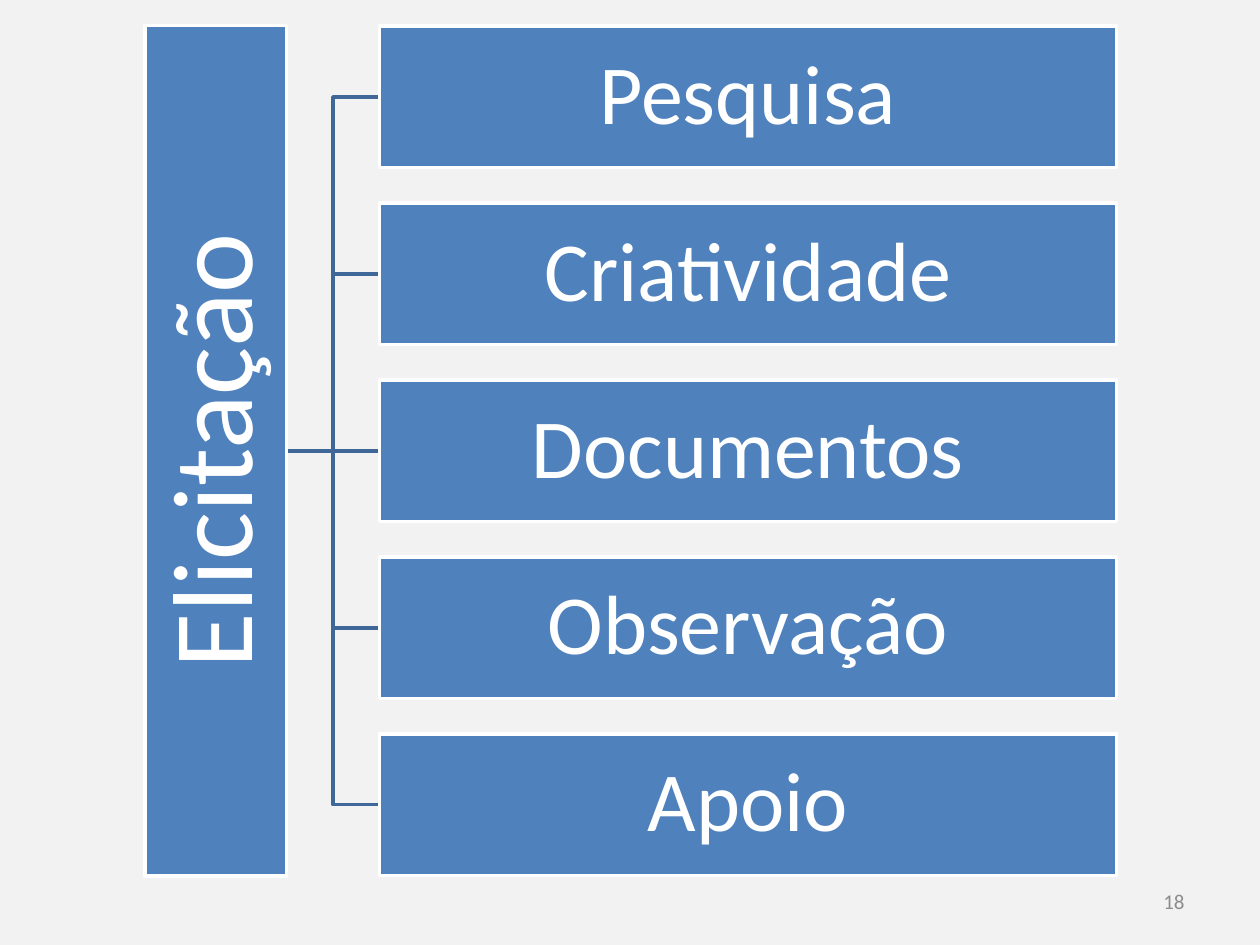
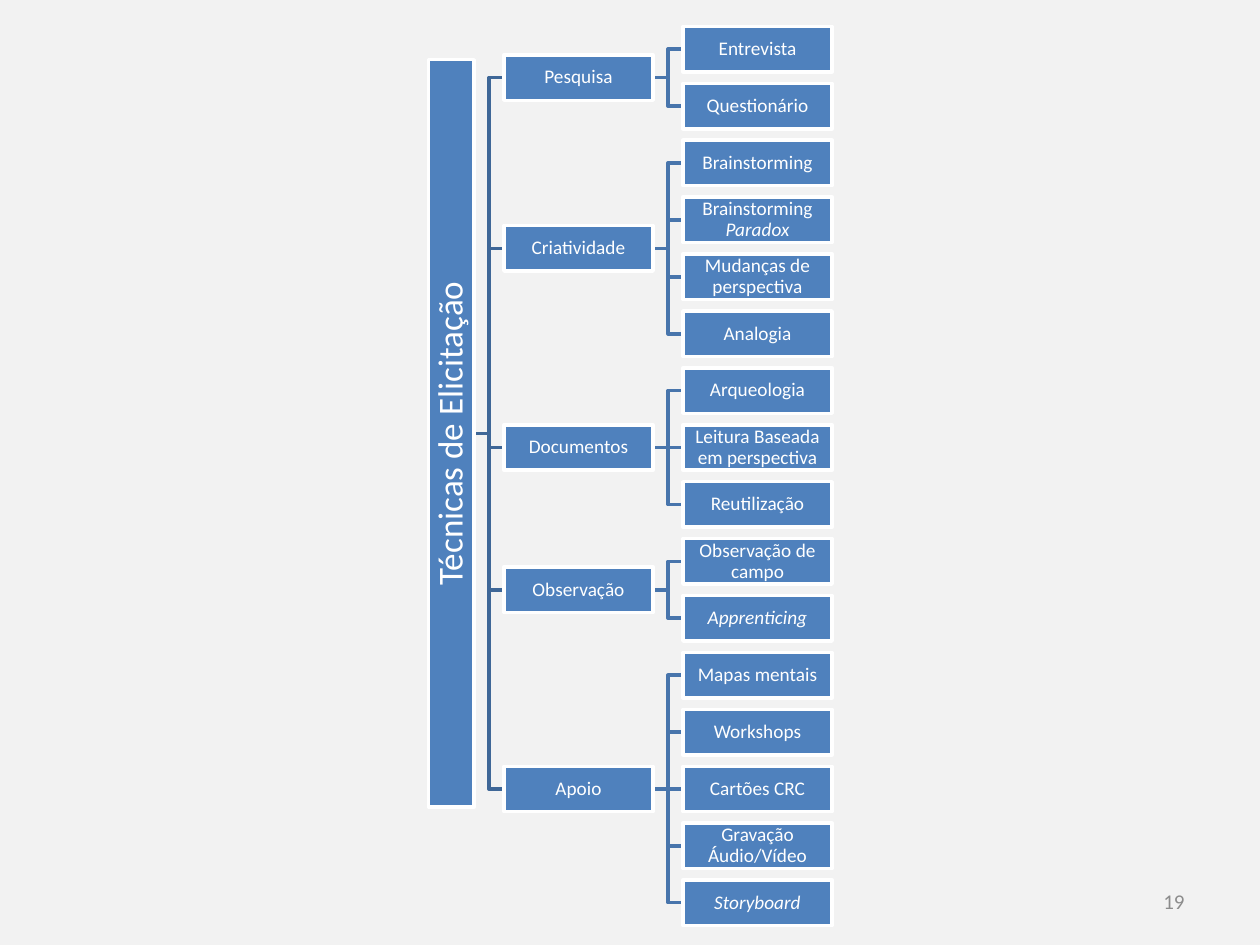
from dataclasses import dataclass

import pptx
import pptx.dml.color
import pptx.enum.shapes
import pptx.enum.text
import pptx.shapes.base
import pptx.slide
import pptx.util
from lxml import etree
from pptx.oxml.ns import qn

Pt = pptx.util.Pt

# Shared look
FONT = "Calibri"
BACKGROUND, BOX_FILL, WHITE, GREY = "F2F2F2", "4F81BD", "FFFFFF", "8C8C8C"
LINK_COLOURS = ("3F6797", "4875AC")  # one per level of the tree
LINE_WIDTH = 2


@dataclass(frozen=True)
class Node:
    text: str = ""
    italic: str = ""  # italic ending of the label
    children: tuple["Node", ...] = ()


@dataclass(frozen=True)
class TreeStyle:
    root_left: float
    root_length: float
    thickness: float  # height of every box, width of the upright root
    gap: float  # between columns
    box_width: float
    first_centre: float
    pitch: float  # between neighbouring leaves
    root_size: float
    box_size: float
    root_inset: float
    box_inset: float


@dataclass(frozen=True)
class PlacedNode:
    node: Node
    level: int
    centre: float
    children: tuple["PlacedNode", ...]


def colour(value: str) -> pptx.dml.color.RGBColor:
    return pptx.dml.color.RGBColor.from_string(value)


def place(node: Node, style: TreeStyle, leaf: int = 0, level: int = 0) -> tuple[PlacedNode, int]:
    """Centre each parent on its children; return it and the next free leaf row."""
    if not node.children:
        return PlacedNode(node, level, style.first_centre + leaf * style.pitch, ()), leaf + 1
    children = []
    for child in node.children:
        placed, leaf = place(child, style, leaf, level + 1)
        children.append(placed)
    centre = (children[0].centre + children[-1].centre) / 2
    return PlacedNode(node, level, centre, tuple(children)), leaf


def column_left(level: int, style: TreeStyle) -> float:
    if level == 0:
        return style.root_left
    first = style.root_left + style.thickness + style.gap
    return first + (level - 1) * (style.box_width + style.gap)


def style_line(shape: pptx.shapes.base.BaseShape, value: str) -> None:
    shape.line.color.rgb = colour(value)
    shape.line.width = Pt(LINE_WIDTH)


def draw_link(slide: pptx.slide.Slide, parent: PlacedNode, child: PlacedNode, style: TreeStyle) -> None:
    end = column_left(child.level, style)
    start = end - style.gap
    middle = end - style.gap / 2
    if abs(parent.centre - child.centre) < 0.01:
        link = slide.shapes.add_connector(
            pptx.enum.shapes.MSO_CONNECTOR.STRAIGHT,
            Pt(start), Pt(parent.centre), Pt(end), Pt(child.centre))
        etree.SubElement(link._element.spPr, qn("a:effectLst"))
    else:
        builder = slide.shapes.build_freeform(Pt(start), Pt(parent.centre))
        builder.add_line_segments(
            [(Pt(middle), Pt(parent.centre)), (Pt(middle), Pt(child.centre)),
             (Pt(end), Pt(child.centre))], close=False)
        link = builder.convert_to_shape()
        link.fill.background()
        link.shadow.inherit = False
    style_line(link, LINK_COLOURS[parent.level])


def draw_box(slide: pptx.slide.Slide, placed: PlacedNode, style: TreeStyle) -> None:
    is_root = placed.level == 0
    width = style.root_length if is_root else style.box_width
    left = column_left(placed.level, style)
    if is_root:  # drawn lying, then turned about its centre
        left += (style.thickness - width) / 2
    shape = slide.shapes.add_shape(
        pptx.enum.shapes.MSO_SHAPE.RECTANGLE, Pt(left), Pt(placed.centre - style.thickness / 2),
        Pt(width), Pt(style.thickness))
    shape.rotation = 270 if is_root else 0
    shape.shadow.inherit = False
    shape.fill.solid()
    shape.fill.fore_color.rgb = colour(BOX_FILL)
    style_line(shape, WHITE)

    frame = shape.text_frame
    inset = Pt(style.root_inset if is_root else style.box_inset)
    frame.margin_left = frame.margin_right = frame.margin_top = frame.margin_bottom = inset
    frame.text = placed.node.text
    paragraph = frame.paragraphs[0]
    paragraph.line_spacing = 0.9
    if placed.node.italic:
        run = paragraph.add_run()
        run.text = placed.node.italic
        run.font.italic = True
    format_text(frame, style.root_size if is_root else style.box_size, WHITE,
                pptx.enum.text.PP_ALIGN.CENTER)


def format_text(frame, size: float, value: str, alignment: pptx.enum.text.PP_ALIGN) -> None:
    frame.word_wrap = True
    frame.vertical_anchor = pptx.enum.text.MSO_ANCHOR.MIDDLE
    for paragraph in frame.paragraphs:
        paragraph.alignment = alignment
        for run in paragraph.runs:
            run.font.name = FONT
            run.font.size = Pt(size)
            run.font.color.rgb = colour(value)


def draw_links(slide: pptx.slide.Slide, placed: PlacedNode, style: TreeStyle) -> None:
    for child in placed.children:
        draw_link(slide, placed, child, style)
        draw_links(slide, child, style)


def draw_boxes(slide: pptx.slide.Slide, placed: PlacedNode, style: TreeStyle) -> None:
    draw_box(slide, placed, style)
    for child in placed.children:
        draw_boxes(slide, child, style)


def add_tree_slide(presentation, number: int, root: Node, style: TreeStyle) -> None:
    slide = presentation.slides.add_slide(presentation.slide_layouts.get_by_name("Blank"))
    footer = slide.shapes.add_textbox(Pt(516), Pt(500.5), Pt(168), Pt(28.75))
    footer.text_frame.text = str(number)
    format_text(footer.text_frame, 12, GREY, pptx.enum.text.PP_ALIGN.RIGHT)
    placed, _ = place(root, style)
    draw_links(slide, placed, style)
    draw_boxes(slide, placed, style)


# Content
TECHNIQUES = (
    Node("Pesquisa", children=(Node("Entrevista"), Node("Questionário"))),
    Node("Criatividade", children=(
        Node("Brainstorming"), Node("Brainstorming ", "Paradox"),
        Node("Mudanças de perspectiva"), Node("Analogia"))),
    Node("Documentos", children=(
        Node("Arqueologia"), Node("Leitura Baseada em perspectiva"), Node("Reutilização"))),
    Node("Observação", children=(Node("Observação de campo"), Node(italic="Apprenticing"))),
    Node("Apoio", children=(
        Node("Mapas mentais"), Node("Workshops"), Node("Cartões CRC"),
        Node("Gravação Áudio/Vídeo"), Node(italic="Storyboard"))),
)
OVERVIEW = Node("Elicitação", children=tuple(Node(group.text) for group in TECHNIQUES))
DETAIL = Node("Técnicas de Elicitação", children=TECHNIQUES)

OVERVIEW_STYLE = TreeStyle(
    root_left=82.8, root_length=486, thickness=80.9, gap=53.1, box_width=421.2,
    first_centre=55.4, pitch=101.1, root_size=65, box_size=48, root_inset=3.6, box_inset=2.2)
DETAIL_STYLE = TreeStyle(
    root_left=244.9, root_length=427, thickness=26, gap=17.1, box_width=85.2,
    first_centre=28.1, pitch=32.52, root_size=20, box_size=11, root_inset=0.7, box_inset=0.7)

# Build the presentation
presentation = pptx.Presentation()
presentation.slide_width, presentation.slide_height = Pt(720), Pt(540)
background = presentation.slide_master.background.fill
background.solid()
background.fore_color.rgb = colour(BACKGROUND)
add_tree_slide(presentation, 18, OVERVIEW, OVERVIEW_STYLE)
add_tree_slide(presentation, 19, DETAIL, DETAIL_STYLE)
presentation.save("out.pptx")
